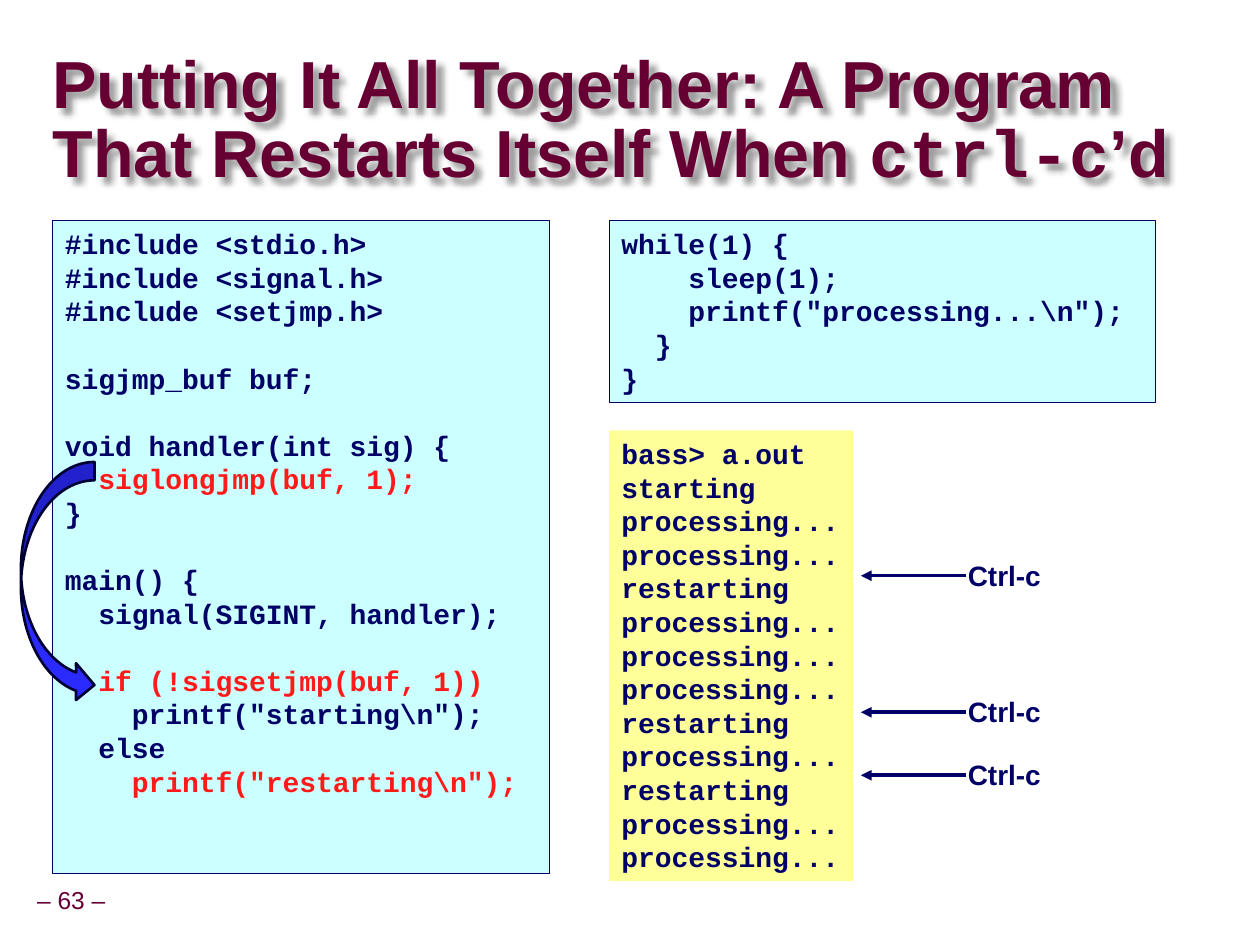
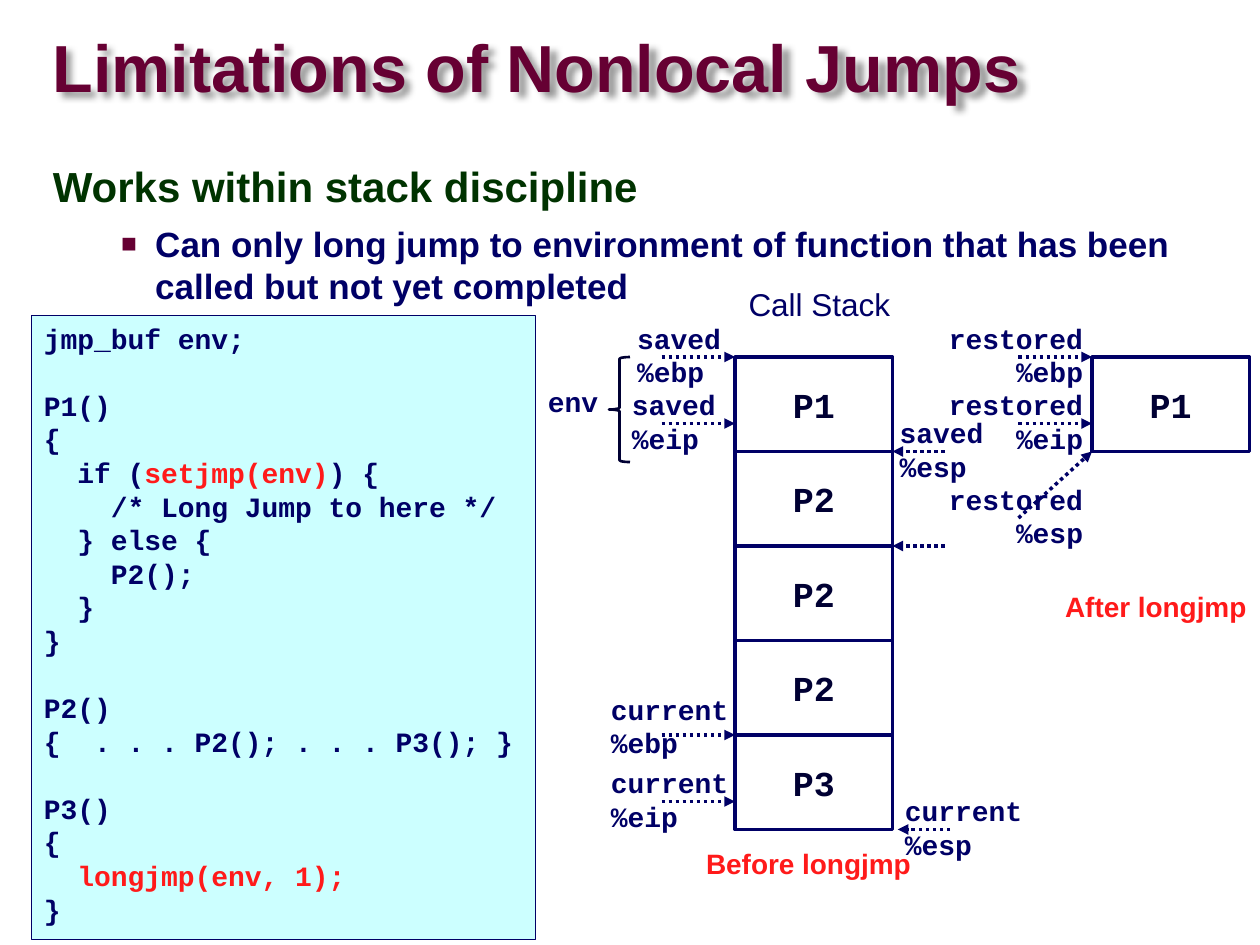
from lxml import etree
from pptx import Presentation
from pptx import util as u
from pptx.dml.color import RGBColor
from pptx.enum import dml, shapes, text
from pptx.oxml.ns import qn

Pt = u.Pt
MAROON = RGBColor(0x66, 0x00, 0x33)
NAVY = RGBColor(0x00, 0x00, 0x66)
INK = RGBColor(0x00, 0x00, 0x33)
RED = RGBColor(0xFF, 0x1A, 0x1A)
GREEN = RGBColor(0x00, 0x33, 0x00)
BLUE = RGBColor(0x2B, 0x2B, 0xFF)
CYAN = RGBColor(0xCC, 0xFF, 0xFF)
YELLOW = RGBColor(0xFF, 0xFF, 0x99)
SANS, MONO = "Arial", "Courier New"
LEFT, CENTER, RIGHT = (text.PP_ALIGN.LEFT, text.PP_ALIGN.CENTER,
                       text.PP_ALIGN.RIGHT)
CELL_W, CELL_H, STACK_TOP = 90, 54, 204

RESTART_CODE = r"""#include <stdio.h>
#include <signal.h>
#include <setjmp.h>

sigjmp_buf buf;

void handler(int sig) {
  |siglongjmp(buf, 1);|
}

main() {
  signal(SIGINT, handler);

  |if (!sigsetjmp(buf, 1))|
    printf("starting\n");
  else
    |printf("restarting\n");|"""

LOOP_CODE = r"""while(1) {
    sleep(1);
    printf("processing...\n");
  }
}"""

SESSION = """bass> a.out
starting
processing...
processing...
restarting
processing...
processing...
processing...
restarting
processing...
restarting
processing...
processing..."""

JUMP_CODE = """jmp_buf env;

P1()
{
  if (|setjmp(env)|) {
    /* Long Jump to here */
  } else {
    P2();
  }
}

P2()
{  . . . P2(); . . . P3(); }

P3()
{
  |longjmp(env, 1);|
}"""


def sub(parent, tag, **attrs):
    """Append a DrawingML child element."""
    return etree.SubElement(parent, qn("a:" + tag), attrs)


def add_run(p, words, size=16, font=MONO, color=NAVY, bold=True):
    """Append one formatted run."""
    r = p.add_run()
    r.text = words
    r.font.size, r.font.name, r.font.bold = Pt(size), font, bold
    r.font.color.rgb = color


def add_lines(tf, lines, align=LEFT, **style):
    """Fill a frame line by line; bars enclose highlighted code."""
    for i, line in enumerate(lines.split("\n")):
        p = tf.paragraphs[0] if i == 0 else tf.add_paragraph()
        p.alignment = align
        p.font.size = Pt(style.get("size", 16))
        for j, part in enumerate(line.split("|")):
            if part:
                add_run(p, part, **(dict(style, color=RED) if j % 2 else style))


def place(sp, x, y, w, h):
    """Set position and size in points."""
    sp.left, sp.top, sp.width, sp.height = Pt(x), Pt(y), Pt(w), Pt(h)


def set_margins(tf, size):
    """Give a frame equal insets."""
    tf.margin_left = tf.margin_right = Pt(size)
    tf.margin_top = tf.margin_bottom = Pt(size)


def add_title(s, parts, x, y, w, h):
    """Format the title placeholder with its soft text shadow."""
    sp = s.shapes.title
    place(sp, x, y, w, h)
    sp.fill.background()
    shadow = sub(sub(sp._element.spPr, "effectLst"), "outerShdw",
                 blurRad="50800", dist="50800", dir="2700000", algn="tl",
                 rotWithShape="0")
    sub(sub(shadow, "prstClr", val="black"), "alpha", val="40000")
    tf = sp.text_frame
    tf.auto_size, tf.word_wrap = text.MSO_AUTO_SIZE.NONE, True
    tf.vertical_anchor = text.MSO_ANCHOR.MIDDLE
    set_margins(tf, 0)
    p = tf.paragraphs[0]
    p.alignment, p.line_spacing = LEFT, 0.87
    for words, font in parts:
        if words == "\n":
            p.add_line_break()
        else:
            add_run(p, words, 38, font, MAROON)


def add_body(s, heading, point):
    """Fill the body placeholder with a heading and a bulleted point."""
    sp = s.placeholders[1]
    place(sp, 23, 90, 654.5, 91.5)
    tf = sp.text_frame
    tf.auto_size = text.MSO_AUTO_SIZE.NONE
    p = tf.paragraphs[0]
    p.line_spacing, p.space_before = 0.95, Pt(0)
    add_run(p, heading, 24, SANS, GREEN)
    pPr = p._p.get_or_add_pPr()
    pPr.set("marL", str(Pt(30)))
    pPr.set("indent", str(-Pt(30)))
    sub(pPr, "buNone")
    p = tf.add_paragraph()
    p.level, p.space_before = 1, Pt(6)
    add_run(p, point, 20, SANS)
    pPr = p._p.get_or_add_pPr()
    pPr.set("marL", str(Pt(58.5)))
    pPr.set("indent", str(-Pt(19.5)))
    sub(sub(pPr, "buClr"), "srgbClr", val=str(MAROON))
    sub(pPr, "buSzPct", val="75000")
    sub(pPr, "buFont", typeface=SANS)
    sub(pPr, "buChar", char="■")


def add_preset(sps, kind, x, y, w, h, fill=None, line=None, weight=1.5):
    """Add a flat preset shape."""
    sp = sps.add_shape(kind, Pt(x), Pt(y), Pt(w), Pt(h))
    sp.shadow.inherit = False
    for paint, color in ((sp.fill, fill), (sp.line.fill, line)):
        if color is None:
            paint.background()
        else:
            paint.solid()
            paint.fore_color.rgb = color
    if line is not None:
        sp.line.width = Pt(weight)
    return sp


def add_code(s, code, x, y, w, h, fill=CYAN, line=NAVY):
    """Add a filled listing box."""
    sp = add_preset(s.shapes, shapes.MSO_SHAPE.RECTANGLE, x, y, w, h,
                    fill, line, 0.25)
    tf = sp.text_frame
    tf.word_wrap, tf.margin_right = True, Pt(0)
    tf.vertical_anchor = text.MSO_ANCHOR.TOP
    add_lines(tf, code)


def add_label(sps, words, x, y, w, h=26.5, align=LEFT, **style):
    """Add an unwrapped text box and return its frame."""
    tf = sps.add_textbox(Pt(x), Pt(y), Pt(w), Pt(h)).text_frame
    tf.word_wrap, tf.auto_size = False, text.MSO_AUTO_SIZE.SHAPE_TO_FIT_TEXT
    add_lines(tf, words, align, **style)
    return tf


def add_arrow(sps, x1, y1, x2, y2, dotted=True):
    """Add an arrow pointing at its second end."""
    sp = sps.add_connector(shapes.MSO_CONNECTOR.STRAIGHT,
                           Pt(x1), Pt(y1), Pt(x2), Pt(y2))
    sp.line.color.rgb, sp.line.width = NAVY, Pt(2)
    if dotted:
        sp.line.dash_style = dml.MSO_LINE.ROUND_DOT
    sub(sp.line._get_or_add_ln(), "tailEnd", type="triangle")
    sub(sp._element.spPr, "effectLst")


def add_stack(sps, x, frames):
    """Stack equal call frames downwards."""
    for i, name in enumerate(frames):
        sp = add_preset(sps, shapes.MSO_SHAPE.RECTANGLE, x,
                        STACK_TOP + i * CELL_H, CELL_W, CELL_H,
                        line=NAVY, weight=2)
        tf = sp.text_frame
        tf.word_wrap, tf.vertical_anchor = False, text.MSO_ANCHOR.MIDDLE
        add_lines(tf, name, CENTER, size=20, color=INK)


def add_page_number(s, number):
    """Add the footer page number."""
    tf = add_label(s.shapes, f"– {number} –", 17, 504, 47.5, 22.5, CENTER,
                   size=14, font=SANS, color=MAROON, bold=False)
    set_margins(tf, 3.6)
    tf.vertical_anchor = text.MSO_ANCHOR.MIDDLE
    tf.paragraphs[0].line_spacing = 0.9


def build_restart(prs):
    """Build the slide with the restarting program."""
    s = prs.slides.add_slide(prs.slide_layouts[5])
    add_page_number(s, 63)
    add_title(s, [("Putting It All Together: A Program ", SANS), ("\n", SANS),
                  ("That Restarts Itself When ", SANS), ("ctrl-c", MONO),
                  ("’d", SANS)], 30, 26.5, 666, 86.5)
    add_code(s, RESTART_CODE, 30, 126, 284, 373)
    add_code(s, LOOP_CODE, 348, 126, 312, 104)
    add_code(s, SESSION, 348, 246, 139.5, 257.5, YELLOW, None)
    for y in (329, 407, 443):
        add_label(s.shapes, "Ctrl-c", 546, y - 13.5, 56, font=SANS)
        add_arrow(s.shapes, 552, y, 492, y, dotted=False)
    add_preset(s.shapes, shapes.MSO_SHAPE.CURVED_RIGHT_ARROW,
               12, 264, 42, 138, BLUE, INK)


def build_limits(prs):
    """Build the slide with the call stack before and after the jump."""
    s = prs.slides.add_slide(prs.slide_layouts[1])
    add_title(s, [("Limitations of Nonlocal Jumps", SANS)], 30, 18, 565, 45.5)
    add_body(s, "Works within stack discipline",
             "Can only long jump to environment of function that has been "
             "called but not yet completed")
    add_code(s, JUMP_CODE, 18, 180, 288, 356.5)

    sps = s.shapes
    add_stack(sps, 420, ("P1", "P2", "P2", "P2", "P3"))
    tf = add_label(sps, "Call Stack", 420, 162, 96.5, 27.5, CENTER,
                   size=18, font=SANS, bold=False)
    tf.paragraphs[0].line_spacing = 0.9
    add_label(sps, "Before longjmp", 396, 480, 132, align=CENTER,
              font=SANS, color=RED)
    add_label(sps, "env", 306, 216, 43)
    brace = add_preset(sps, shapes.MSO_SHAPE.LEFT_BRACE, 348, 204, 12, 60,
                       line=INK)
    brace.adjustments[0] = 0.083
    for words, x, y, w in (("saved\n%ebp", 357, 180, 63),
                           ("saved\n%eip", 354, 218, 63),
                           ("saved\n%esp", 507, 234, 63),
                           ("current\n%ebp", 342, 392, 82),
                           ("current\n%eip", 342, 434, 82),
                           ("current\n%esp", 510, 450, 82)):
        add_label(sps, words, x, y, w, 46)
    for y in (204, 242, 420, 458):
        add_arrow(sps, 378, y, 420, y)
    for x, y in ((510, 258), (510, 312), (513, 474)):
        add_arrow(sps, x + 30, y, x, y)

    after = sps.add_group_shape().shapes
    add_stack(after, 624, ("P1",))
    add_label(after, "After longjmp", 601, 333.5, 119, align=CENTER,
              font=SANS, color=RED)
    for register, y, start, end in (("%ebp", 180, 204, 204),
                                    ("%eip", 218, 242, 242),
                                    ("%esp", 272, 296, 258)):
        add_label(after, "restored\n" + register, 534, y, 92, 46, RIGHT)
        add_arrow(after, 582, start, 624, end)


def main():
    """Build and save the presentation."""
    prs = Presentation()
    prs.slide_width, prs.slide_height = Pt(720), Pt(540)
    build_restart(prs)
    build_limits(prs)
    prs.save("out.pptx")


main()
